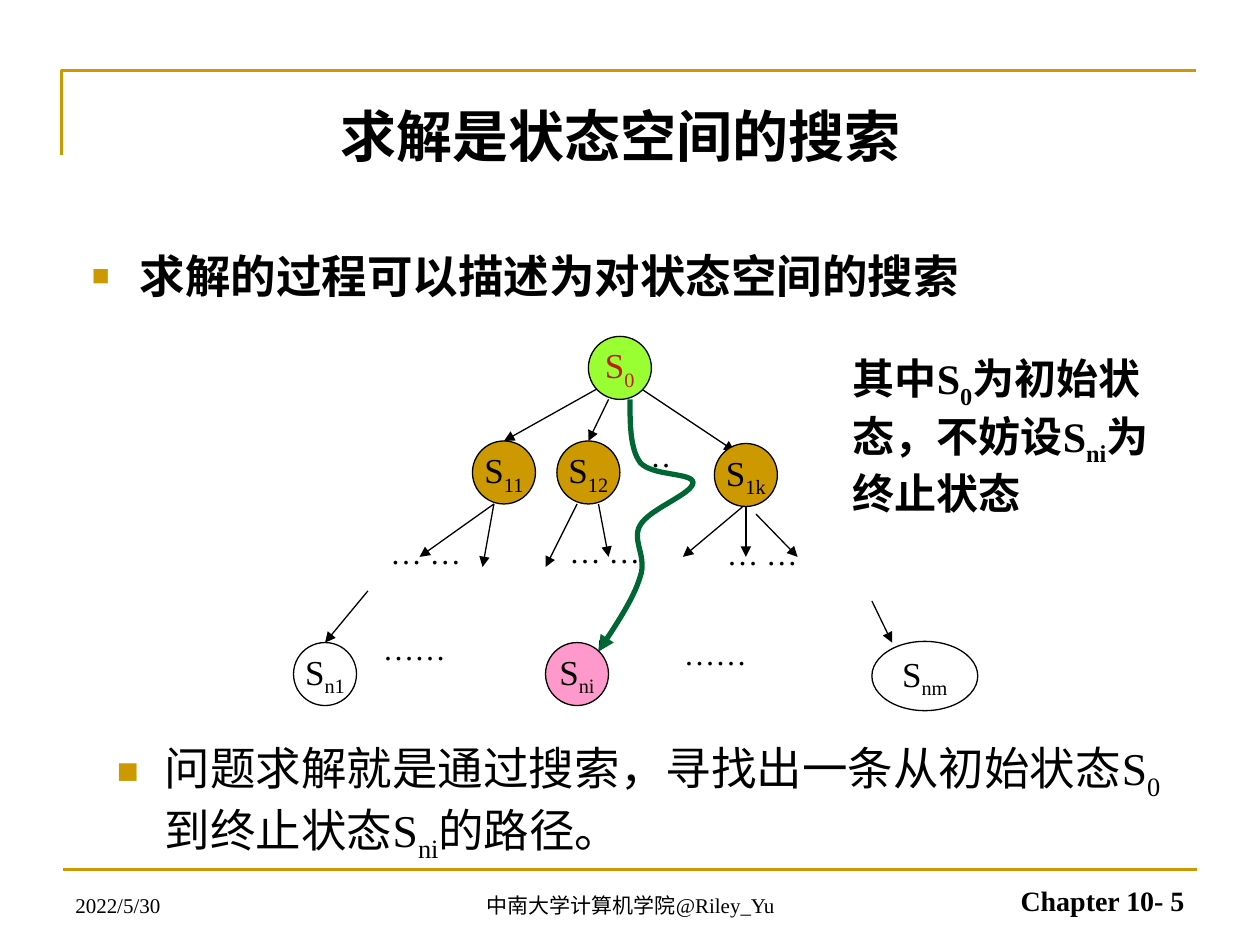
from dataclasses import dataclass

from lxml.etree import SubElement
from pptx import Presentation
from pptx.dml.color import RGBColor
from pptx.enum.shapes import MSO_CONNECTOR, MSO_SHAPE
from pptx.enum.text import MSO_ANCHOR, MSO_AUTO_SIZE, PP_ALIGN
from pptx.oxml.ns import qn
from pptx.util import Inches, Pt

Point = tuple[float, float]
GOLD, BLACK, WHITE = "CC9900", "000000", "FFFFFF"


@dataclass
class Style:
    size: float
    bold: bool = False
    color: str = BLACK
    font: str = "Times New Roman"
    align: PP_ALIGN = PP_ALIGN.LEFT
    anchor: MSO_ANCHOR = MSO_ANCHOR.TOP
    wrap: bool = True
    grow: bool = False


@dataclass
class Node:
    subscript: str
    left: float
    top: float
    fill: str
    width: float = 0.5
    height: float = 0.5
    color: str = BLACK


def rgb(color: str) -> RGBColor:
    return RGBColor.from_string(color)


def set_line(shape, color: str, width: float, arrow: bool = False) -> None:
    shape.line.color.rgb = rgb(color)
    shape.line.width = Pt(width)
    if arrow:
        SubElement(shape.line._get_or_add_ln(), qn("a:tailEnd"), type="triangle")


def write_text(shape, paragraphs: list[list[str]], style: Style) -> None:
    """Each paragraph alternates plain and subscript pieces."""
    frame = shape.text_frame
    frame.word_wrap = style.wrap
    frame.vertical_anchor = style.anchor
    frame.auto_size = MSO_AUTO_SIZE.SHAPE_TO_FIT_TEXT if style.grow else MSO_AUTO_SIZE.NONE
    for index, pieces in enumerate(paragraphs):
        paragraph = frame.add_paragraph() if index else frame.paragraphs[0]
        paragraph.alignment = style.align
        for position, piece in enumerate(pieces):
            run = paragraph.add_run()
            run.text = piece
            run.font.name = style.font
            run.font.size = Pt(style.size)
            run.font.bold = style.bold
            run.font.color.rgb = rgb(style.color)
            if position % 2:
                run._r.get_or_add_rPr().set("baseline", "-25000")


def add_text(slide, box: tuple[float, float, float, float],
             paragraphs: list[list[str]], style: Style):
    shape = slide.shapes.add_textbox(*map(Inches, box))
    write_text(shape, paragraphs, style)
    return shape


def add_bullet(shape, percent: int) -> None:
    paragraph = shape.text_frame.paragraphs[0]
    paragraph.space_before = Pt(5.2)
    properties = paragraph._p.get_or_add_pPr()
    properties.set("marL", str(Inches(0.38)))
    properties.set("indent", str(Inches(-0.38)))
    SubElement(SubElement(properties, qn("a:buClr")), qn("a:srgbClr"), val=GOLD)
    SubElement(properties, qn("a:buSzPct"), val=str(percent * 1000))
    SubElement(properties, qn("a:buFont"), typeface="Arial")
    SubElement(properties, qn("a:buChar"), char="■")


def add_line(slide, start: Point, end: Point, color: str = BLACK,
             width: float = 0.75, arrow: bool = True) -> None:
    line = slide.shapes.add_connector(MSO_CONNECTOR.STRAIGHT, *map(Inches, start + end))
    set_line(line, color, width, arrow)
    SubElement(line._element.spPr, qn("a:effectLst"))


def add_path(slide, points: list[Point], color: str, width: float, arrow: bool = False) -> None:
    places = [(Inches(x), Inches(y)) for x, y in points]
    builder = slide.shapes.build_freeform(*places[0], scale=1.0)
    builder.add_line_segments(places[1:], close=False)
    shape = builder.convert_to_shape()
    shape.shadow.inherit = False
    shape.fill.background()
    set_line(shape, color, width, arrow)


def curve_points(start: Point, curves: list[tuple[Point, Point, Point]],
                 steps: int = 16) -> list[Point]:
    """Sample a chain of cubic Bézier curves."""
    points = [start]
    for first, second, end in curves:
        origin = points[-1]
        for step in range(1, steps + 1):
            t = step / steps
            u = 1 - t
            weights = (u**3, 3 * u * u * t, 3 * u * t * t, t**3)
            controls = (origin, first, second, end)
            points.append((sum(w * c[0] for w, c in zip(weights, controls)),
                           sum(w * c[1] for w, c in zip(weights, controls))))
    return points


def add_node(slide, node: Node) -> None:
    shape = slide.shapes.add_shape(
        MSO_SHAPE.OVAL, *map(Inches, (node.left, node.top, node.width, node.height)))
    shape.shadow.inherit = False
    shape.fill.solid()
    shape.fill.fore_color.rgb = rgb(node.fill)
    set_line(shape, BLACK, 0.75)
    write_text(shape, [["S", node.subscript]],
               Style(20, color=node.color, align=PP_ALIGN.CENTER,
                     anchor=MSO_ANCHOR.MIDDLE, wrap=False))


ARROWS = [
    # From the root
    ((4.75, 3.08), (4, 3.5)), ((4.83, 3.17), (4.67, 3.5)), ((5.08, 3.08), (5.83, 3.58)),
    # From the first level
    ((3.92, 4), (3.33, 4.42)), ((3.92, 4), (3.83, 4.5)),
    ((4.58, 4), (4.33, 4.5)), ((4.75, 4), (4.83, 4.42)),
    ((5.92, 4), (5.42, 4.42)), ((5.92, 4), (5.92, 4.42)), ((6, 4.08), (6.33, 4.42)),
    # Into the last level
    ((2.92, 4.69), (2.58, 5.1)), ((5, 4.75), (4.75, 5.17)), ((6.92, 4.77), (7.08, 5.1)),
]
ELLIPSES = [
    ("…", 4.98, 3.41, 0.59),
    ("… …", 3, 4.18, 1.08), ("… …", 4.42, 4.17, 1.08), ("… …", 5.67, 4.19, 1.08),
    ("……", 2.94, 4.94, 0.98), ("……", 5.33, 4.98, 0.98),
]
NODES = [
    Node("0", 4.67, 2.67, "99FF33", color="BE1F0E"),
    Node("11", 3.75, 3.5, GOLD), Node("12", 4.42, 3.5, GOLD), Node("1k", 5.67, 3.52, GOLD),
    Node("n1", 2.33, 5.1, WHITE), Node("ni", 4.33, 5.1, "FF99CC"),
    Node("nm", 6.92, 5.09, WHITE, 0.84, 0.55),
]
SOLUTION_CURVES = [
    ((5, 3.36), (5, 3.56), (5.08, 3.67)),
    ((5.17, 3.78), (5.5, 3.75), (5.5, 3.83)),
    ((5.5, 3.92), (5.15, 4.04), (5.08, 4.17)),
    ((5.01, 4.29), (5.14, 4.42), (5.08, 4.58)),
    ((5.03, 4.75), (4.89, 4.96), (4.75, 5.17)),
]


def main() -> None:
    presentation = Presentation()
    presentation.slide_width, presentation.slide_height = Inches(10), Inches(7.5)
    slide = presentation.slides.add_slide(presentation.slide_layouts[6])

    # Frame lines, title and first point
    add_path(slide, [(0.49, 1.23), (0.49, 0.56), (9.49, 0.56)], GOLD, 1.5)
    add_line(slide, (0.5, 6.9), (9.5, 6.9), GOLD, 1.5, arrow=False)
    add_text(slide, (0.51, 0.76, 8.83, 0.9), [["求解是状态空间的搜索"]],
             Style(32, bold=True, align=PP_ALIGN.CENTER))
    first_point = add_text(slide, (0.63, 1.92, 8.58, 0.7), [["求解的过程可以描述为对状态空间的搜索"]],
                           Style(26, bold=True, font="Arial"))
    add_bullet(first_point, 65)

    # State tree
    for start, end in ARROWS:
        add_line(slide, start, end)
    for dots, left, top, width in ELLIPSES:
        add_text(slide, (left, top, width, 0.57), [[dots]], Style(18, wrap=False, grow=True))
    for node in NODES:
        add_node(slide, node)

    # Explanation and conclusion
    add_text(slide, (6.67, 2.75, 2.77, 1.3),
             [["其中S", "0", "为初始状态，不妨设S", "ni", "为"], ["终止状态"]],
             Style(24, bold=True, grow=True))
    conclusion = add_text(
        slide, (0.83, 5.82, 8.58, 1.08),
        [["问题求解就是通过搜索，寻找出一条从初始状态S", "0", "到终止状态S", "ni", "的路径。"]], Style(26))
    add_bullet(conclusion, 80)

    # Solution path
    add_path(slide, curve_points((5, 3.17), SOLUTION_CURVES), "006633", 3, arrow=True)

    # Footer
    for text, left, width, size, bold, align in [
        ("2022/5/30", 0.5, 2.33, 12, False, PP_ALIGN.LEFT),
        ("中南大学计算机学院@Riley_Yu", 3.42, 3.17, 12, False, PP_ALIGN.CENTER),
        ("Chapter 10- 5", 7.17, 2.33, 16, True, PP_ALIGN.RIGHT),
    ]:
        add_text(slide, (left, 6.83, width, 0.5), [[text]],
                 Style(size, bold, align=align, anchor=MSO_ANCHOR.BOTTOM))

    presentation.save("out.pptx")


if __name__ == "__main__":
    main()
